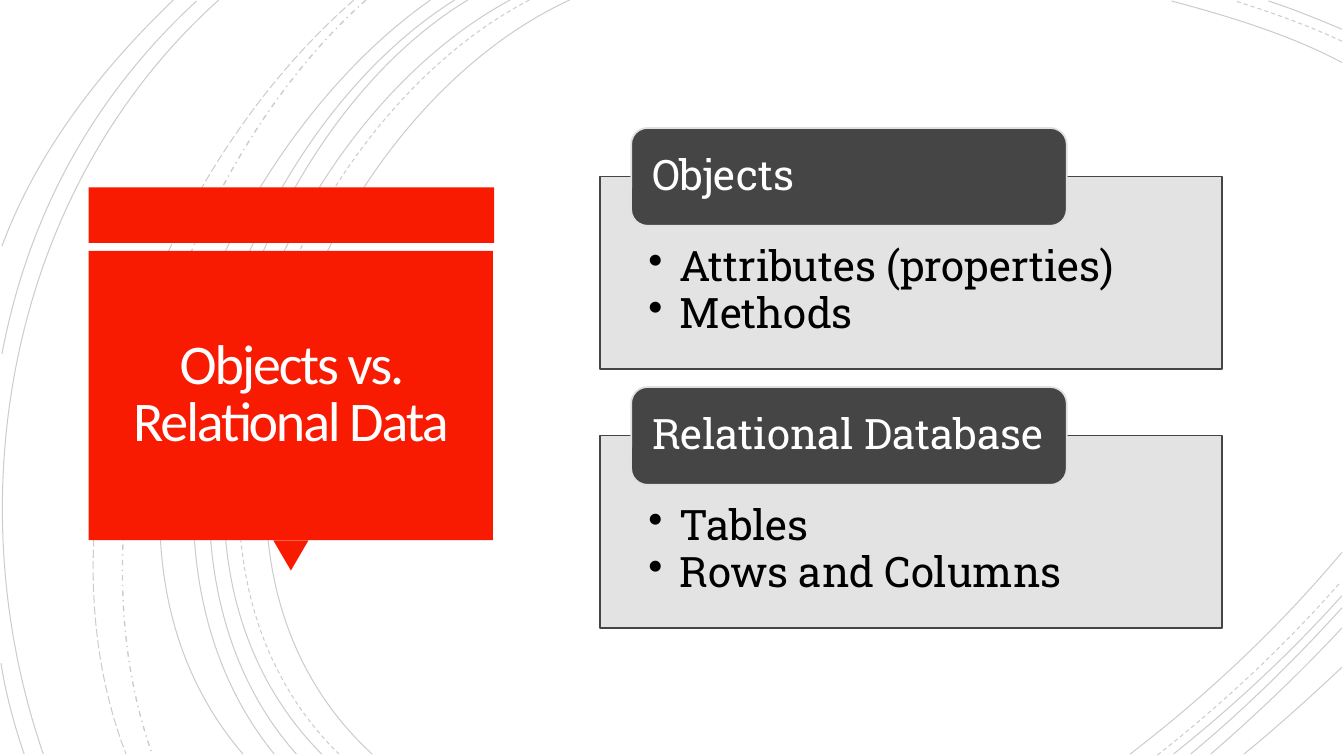
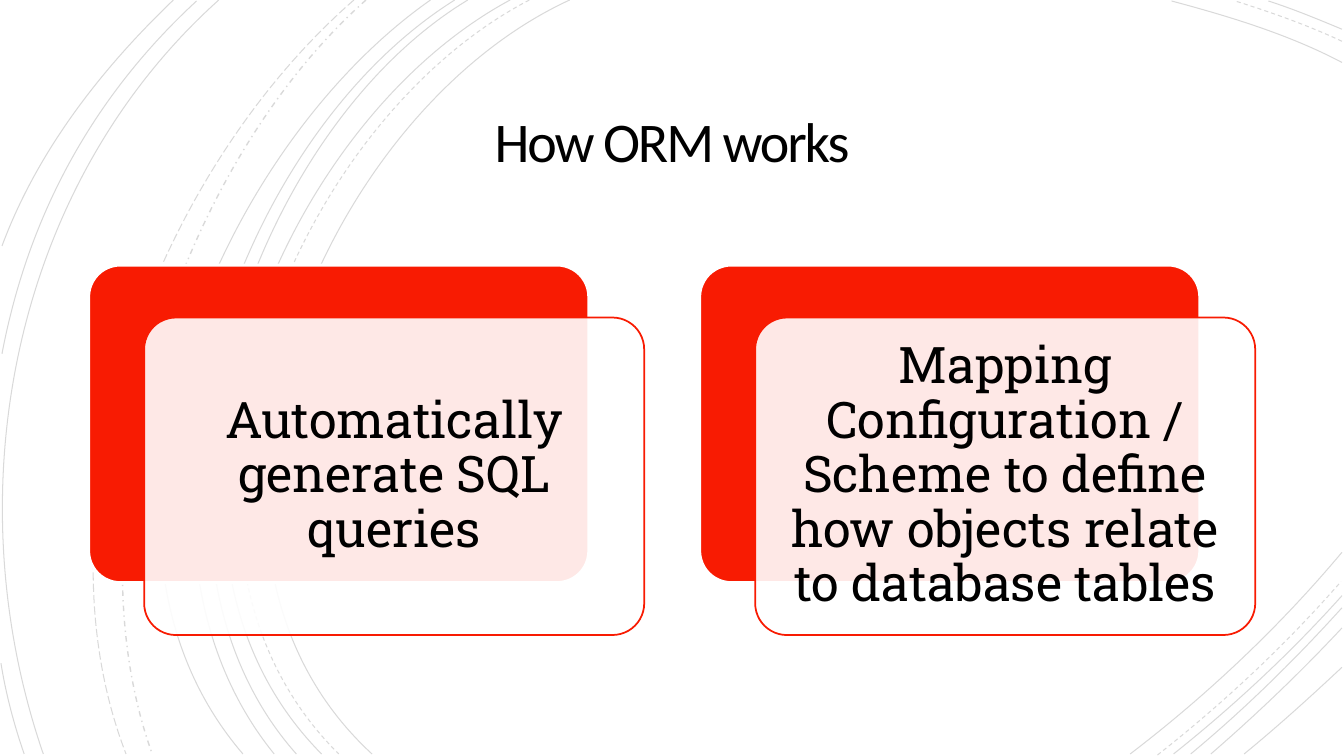
"""Build two slides on objects, relational data and how ORM works."""
from dataclasses import dataclass
from typing import NamedTuple, Optional

from lxml.etree import SubElement
from pptx import Presentation
from pptx.dml.color import RGBColor
from pptx.enum.dml import MSO_LINE
from pptx.enum.shapes import MSO_SHAPE
from pptx.enum.text import MSO_ANCHOR, PP_ALIGN
from pptx.oxml.ns import qn
from pptx.util import Inches, Pt


@dataclass(frozen=True)
class Theme:
    red: str = "F81B02"
    white: str = "FFFFFF"
    title_white: str = "FFFEFF"
    black: str = "000000"
    dark: str = "454545"
    light: str = "E0E0E0"
    title_font: str = "Calibri"
    body_font: str = "Roboto Slab"
    title_size: float = 40
    panel_size: float = 30
    card_size: float = 36
    hairline: float = 0.75
    outline: float = 1.25
    card_edge: float = 2


THEME = Theme()


class Box(NamedTuple):
    left: float
    top: float
    width: float
    height: float


class Point(NamedTuple):
    x: float
    y: float


class Curve(NamedTuple):
    start: Point
    control1: Point
    control2: Point
    end: Point
    dash: MSO_LINE = MSO_LINE.SOLID
    width: float = THEME.hairline


class Panel(NamedTuple):
    heading: str
    bullets: tuple[str, ...]


@dataclass(frozen=True)
class TextStyle:
    font: str
    size: float
    color: str
    align: PP_ALIGN = PP_ALIGN.LEFT
    anchor: MSO_ANCHOR = MSO_ANCHOR.MIDDLE
    line_spacing: float = 0.9
    tracking: float = 0
    space_after: float = 0
    hanging: float = 0
    insets: tuple[float, float, float, float] = (0, 0, 0, 0)


def title_style(color: str, inset: float) -> TextStyle:
    return TextStyle(THEME.title_font, THEME.title_size, color, PP_ALIGN.CENTER,
                     line_spacing=0.85, tracking=-1.5, insets=(inset,) * 4)


HEADING = TextStyle(THEME.body_font, THEME.panel_size, THEME.white,
                    insets=(0.16, 0, 0.16, 0))
BULLETS = TextStyle(THEME.body_font, THEME.panel_size, THEME.black,
                    anchor=MSO_ANCHOR.TOP, space_after=1.5, hanging=0.31,
                    insets=(0.48, 0.68, 0.48, 0.23))
CARD_TEXT = TextStyle(THEME.body_font, THEME.card_size, THEME.black,
                      PP_ALIGN.CENTER, insets=(0.15,) * 4)


def curve(*numbers: float, dash: MSO_LINE = MSO_LINE.SOLID,
          width: float = THEME.hairline) -> Curve:
    points = [Point(x, y) for x, y in zip(numbers[::2], numbers[1::2])]
    return Curve(*points, dash, width)


CURVES = (
    curve(5.65, 0, 3.15, 1.15, 1.43, 5.4, 3.69, 7.48),
    curve(13.31, 0.62, 12.78, 0.34, 12.18, 0.16, 11.62, 0.01),
    curve(11.21, 7.48, 11.97, 6.9, 12.69, 6.22, 13.31, 5.48),
    curve(5.25, 0, 2.85, 1.25, 1.23, 5.37, 3.36, 7.48, dash=MSO_LINE.DASH),
    curve(13.31, 0.41, 12.97, 0.25, 12.6, 0.12, 12.25, 0.01, dash=MSO_LINE.DASH),
    curve(11.48, 7.49, 12.13, 6.98, 12.75, 6.4, 13.3, 5.77, dash=MSO_LINE.DASH),
    curve(5.06, 0, 2.7, 1.27, 1.1, 5.37, 3.19, 7.48),
    curve(13.31, 0.29, 13.07, 0.19, 12.83, 0.09, 12.58, 0.01),
    curve(11.64, 7.48, 12.23, 7.01, 12.8, 6.48, 13.31, 5.91),
    curve(4.64, 0, 2.44, 1.33, 1.1, 5.41, 2.94, 7.48),
    curve(11.81, 7.48, 12.34, 7.04, 12.84, 6.55, 13.31, 6.03),
    curve(4.51, 0, 2.31, 1.38, 0.97, 5.33, 2.72, 7.48),
    curve(12.01, 7.48, 12.46, 7.09, 12.9, 6.67, 13.31, 6.23),
    curve(4.27, 0, 2.17, 1.47, 0.53, 5.29, 2.41, 7.48),
    curve(12.34, 7.48, 12.67, 7.21, 12.99, 6.92, 13.31, 6.62),
    curve(3.63, 0, 1.76, 1.66, 0.65, 5.09, 1.51, 7.48,
          dash=MSO_LINE.DASH_DOT, width=1),
    curve(3.51, 0, 1.57, 1.69, 0.29, 4.99, 1.25, 7.48, dash=MSO_LINE.LONG_DASH),
    curve(2.17, 0, 0.11, 1.85, -0.46, 4.9, 0.43, 7.48),
    curve(1.95, 0.01, 0.92, 0.96, 0.28, 2.14, 0.02, 3.51),
    curve(0.01, 6.58, 0.06, 6.89, 0.14, 7.19, 0.24, 7.48),
    curve(1.72, 0, 1, 0.69, 0.37, 1.5, 0.02, 2.44),
)

PANELS = (
    Panel("Objects", ("Attributes (properties)", "Methods")),
    Panel("Relational Database", ("Tables", "Rows and Columns")),
)
CARDS = (
    "Automatically generate SQL queries",
    "Mapping Configuration / Scheme to define how objects relate to database tables",
)


def set_opacity(sp, query: str, percent: int) -> None:
    for color in sp._element.spPr.xpath(query):
        SubElement(color, qn("a:alpha"), val=str(percent * 1000))


def add_curve(s, item: Curve, opacity: int) -> None:
    start, *rest = [(Inches(pt.x), Inches(pt.y)) for pt in item[:4]]
    builder = s.shapes.build_freeform(*start)
    builder.add_line_segments(rest, close=False)
    sp = builder.convert_to_shape()
    segments = list(sp._element.iter(qn("a:lnTo")))
    outline = segments[0].getparent()
    bezier = SubElement(outline, qn("a:cubicBezTo"))
    for segment in segments:
        bezier.append(segment[0])
        outline.remove(segment)
    sp.shadow.inherit = False
    sp.fill.background()
    sp.line.color.rgb = RGBColor.from_string(THEME.black)
    sp.line.width = Pt(item.width)
    sp.line.dash_style = item.dash
    set_opacity(sp, "a:ln/a:solidFill/a:srgbClr", opacity)


def add_text(sp, lines: tuple[str, ...], style: TextStyle) -> None:
    tf = sp.text_frame
    tf.word_wrap = True
    tf.vertical_anchor = style.anchor
    (tf.margin_left, tf.margin_top,
     tf.margin_right, tf.margin_bottom) = map(Inches, style.insets)
    for i, line in enumerate(lines):
        p = tf.add_paragraph() if i else tf.paragraphs[0]
        p.alignment = style.align
        p.line_spacing = style.line_spacing
        p.space_after = Pt(style.space_after)
        if style.hanging:
            pPr = p._p.get_or_add_pPr()
            pPr.set("marL", str(Inches(style.hanging)))
            pPr.set("indent", str(-Inches(style.hanging)))
            SubElement(pPr, qn("a:buChar"), char="•")
        r = p.add_run()
        r.text = line
        r.font.name = style.font
        r.font.size = Pt(style.size)
        r.font.color.rgb = RGBColor.from_string(style.color)
        if style.tracking:
            r._r.get_or_add_rPr().set("spc", str(round(style.tracking * 100)))


def add_box(s, kind: MSO_SHAPE, box: Box, fill: str, line: Optional[str] = None,
            width: float = THEME.outline, opacity: int = 100,
            corner: Optional[float] = None):
    sp = s.shapes.add_shape(kind, *map(Inches, box))
    sp.shadow.inherit = False
    sp.fill.solid()
    sp.fill.fore_color.rgb = RGBColor.from_string(fill)
    if opacity < 100:
        set_opacity(sp, "a:solidFill/a:srgbClr", opacity)
    if line:
        sp.line.color.rgb = RGBColor.from_string(line)
        sp.line.width = Pt(width)
    else:
        sp.line.fill.background()
    if corner is not None:
        sp.adjustments[0] = corner
    return sp


def add_slide(prs, curve_opacity: int):
    s = prs.slides.add_slide(prs.slide_layouts[6])
    s.background.fill.solid()
    s.background.fill.fore_color.rgb = RGBColor.from_string(THEME.white)
    for item in CURVES:
        add_curve(s, item, curve_opacity)
    return s


def add_title_block(s, title: str) -> None:
    add_box(s, MSO_SHAPE.RECTANGLE, Box(0.88, 1.86, 4.02, 0.55), THEME.red)
    pointer = add_box(s, MSO_SHAPE.ISOSCELES_TRIANGLE,
                      Box(2.71, 5.36, 0.35, 0.3), THEME.red)
    pointer.rotation = 180
    block = add_box(s, MSO_SHAPE.RECTANGLE, Box(0.88, 2.49, 4.01, 2.87), THEME.red)
    add_text(block, (title,), title_style(THEME.title_white, 0.33))


def add_panel(s, panel: Panel, top: float) -> None:
    body = add_box(s, MSO_SHAPE.RECTANGLE, Box(5.95, top, 6.17, 1.91),
                   THEME.light, THEME.dark, opacity=90)
    add_text(body, panel.bullets, BULLETS)
    tab = add_box(s, MSO_SHAPE.ROUNDED_RECTANGLE, Box(6.26, top - 0.48, 4.32, 0.97),
                  THEME.dark, THEME.light)
    add_text(tab, (panel.heading,), HEADING)


def add_card(s, text: str, left: float) -> None:
    back = Box(left, 2.63, 4.96, 3.15)
    front = back._replace(left=left + 0.55, top=back.top + 0.52)
    add_box(s, MSO_SHAPE.ROUNDED_RECTANGLE, back, THEME.red, THEME.white,
            THEME.card_edge, corner=0.1)
    sp = add_box(s, MSO_SHAPE.ROUNDED_RECTANGLE, front, THEME.white, THEME.red,
                 opacity=90, corner=0.1)
    add_text(sp, (text,), CARD_TEXT)


def main() -> None:
    prs = Presentation()
    prs.slide_width, prs.slide_height = Inches(13.33), Inches(7.5)

    s = add_slide(prs, 20)
    add_title_block(s, "Objects vs. Relational Data")
    for i, panel in enumerate(PANELS):
        add_panel(s, panel, 1.75 + i * 2.57)

    s = add_slide(prs, 15)
    title = s.shapes.add_textbox(*map(Inches, Box(1.92, 0.87, 9.49, 1.15)))
    add_text(title, ("How ORM works",), title_style(THEME.black, 0.25))
    for i, text in enumerate(CARDS):
        add_card(s, text, 0.88 + i * 6.06)

    prs.save("out.pptx")


if __name__ == "__main__":
    main()
